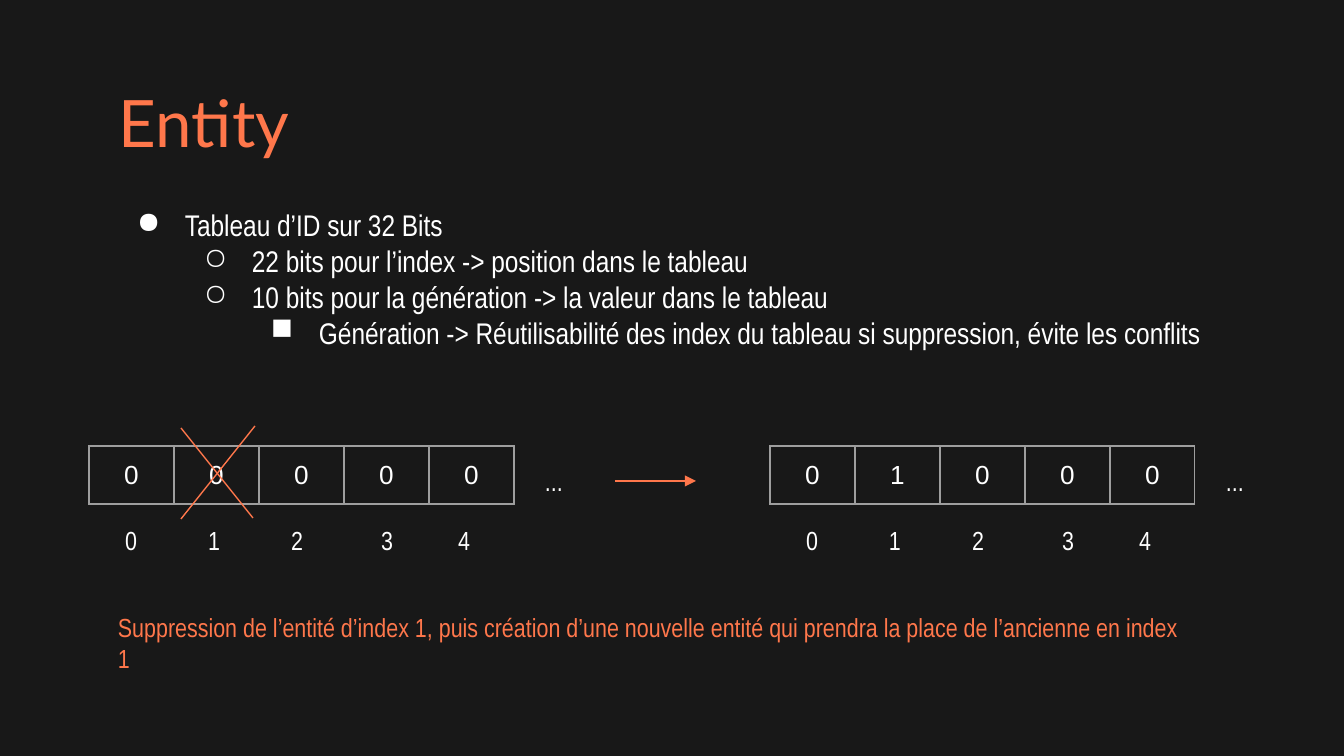
from lxml import etree
from pptx import Presentation
from pptx.dml.color import RGBColor
from pptx.enum.shapes import MSO_CONNECTOR
from pptx.enum.text import MSO_ANCHOR, PP_ALIGN
from pptx.oxml.ns import qn
from pptx.util import Emu, Pt

STRAIGHT = MSO_CONNECTOR.STRAIGHT
TOP, MIDDLE = MSO_ANCHOR.TOP, MSO_ANCHOR.MIDDLE
LEFT, CENTER = PP_ALIGN.LEFT, PP_ALIGN.CENTER

EMU_PER_PX = 914400 / 134.4
INSET = 13
COLORS = {"background": "181818", "accent": "FF774B", "text": "FFFFFF", "border": "9E9E9E"}
NARROW = "Arial Narrow"
BULLETS = "●○■"
LEVEL_INDENT, HANGING = 67, 48

ID_POINTS = [
    (0, "Tableau d’ID sur 32 Bits"),
    (1, "22 bits pour l’index -> position dans le tableau"),
    (1, "10 bits pour la génération -> la valeur dans le tableau"),
    (2, "Génération -> Réutilisabilité des index du tableau si suppression, évite les conflits"),
]
CAPTION = ("Suppression de l’entité d’index 1, puis création d’une nouvelle entité "
           "qui prendra la place de l’ancienne en index 1")

# Generation arrays: cell size, and index label offsets from the array's left edge
CELL_WIDTH, CELL_HEIGHT, ARRAY_TOP = 85, 58, 446
INDEX_OFFSETS = [23, 106, 189, 279, 356]


def px(length):
    return Emu(round(length * EMU_PER_PX))


def rgb(name):
    return RGBColor.from_string(COLORS[name])


def write(paragraph, text, size=14, font=NARROW, color="text", align=LEFT):
    paragraph.alignment = align
    run = paragraph.add_run()
    run.text = text
    run.font.size = Pt(size)
    run.font.name = font
    run.font.color.rgb = rgb(color)


def set_margins(target):
    target.margin_left = target.margin_right = px(INSET)
    target.margin_top = target.margin_bottom = px(INSET)


def add_frame(slide, left, top, width, height, anchor=TOP):
    frame = slide.shapes.add_textbox(px(left), px(top), px(width), px(height)).text_frame
    frame.word_wrap = True
    frame.vertical_anchor = anchor
    set_margins(frame)
    return frame


def add_text(slide, text, left, top, width, height, anchor=TOP, **style):
    frame = add_frame(slide, left, top, width, height, anchor)
    write(frame.paragraphs[0], text, **style)


def add_bullets(slide, points, left, top, width, height):
    frame = add_frame(slide, left, top, width, height)
    for number, (level, text) in enumerate(points):
        paragraph = frame.add_paragraph() if number else frame.paragraphs[0]
        paragraph.level = level
        properties = paragraph._p.get_or_add_pPr()
        properties.set("marL", str(px(LEVEL_INDENT * (level + 1))))
        properties.set("indent", str(-px(HANGING)))
        bullet_color = etree.SubElement(properties, qn("a:buClr"))
        etree.SubElement(bullet_color, qn("a:srgbClr"), val=COLORS["text"])
        etree.SubElement(properties, qn("a:buChar"), char=BULLETS[level])
        write(paragraph, text, size=16)


def add_line(slide, start, end, arrow=False):
    line = slide.shapes.add_connector(STRAIGHT, *map(px, start + end))
    line.line.color.rgb = rgb("accent")
    line.line.width = Pt(0.75)
    if arrow:
        etree.SubElement(line.line._get_or_add_ln(), qn("a:tailEnd"), type="triangle")
    etree.SubElement(line._element.spPr, qn("a:effectLst"))


def set_borders(cell):
    properties = cell._tc.get_or_add_tcPr()
    for position, side in enumerate(("lnL", "lnR", "lnT", "lnB")):
        border = etree.Element(qn(f"a:{side}"), w=str(Pt(0.75)))
        fill = etree.SubElement(border, qn("a:solidFill"))
        etree.SubElement(fill, qn("a:srgbClr"), val=COLORS["border"])
        properties.insert(position, border)


def add_generation_array(slide, generations, left):
    count = len(generations)
    table = slide.shapes.add_table(1, count, px(left), px(ARRAY_TOP),
                                   px(CELL_WIDTH * count), px(CELL_HEIGHT)).table
    table.first_row = table.horz_banding = False
    for column, generation in enumerate(generations):
        table.columns[column].width = px(CELL_WIDTH)
        cell = table.cell(0, column)
        cell.fill.background()
        cell.vertical_anchor = MIDDLE
        set_margins(cell)
        set_borders(cell)
        write(cell.text_frame.paragraphs[0], generation, font="Arial", align=CENTER)

    # Index labels below, continuation dots to the right
    for index, offset in enumerate(INDEX_OFFSETS):
        add_text(slide, str(index), left + offset, 511, 48, 59)
    add_text(slide, "...", left + 443, 452, 134, 59)


def main():
    presentation = Presentation()
    presentation.slide_width, presentation.slide_height = px(1344), px(756)
    slide = presentation.slides.add_slide(presentation.slide_layouts[6])
    slide.background.fill.solid()
    slide.background.fill.fore_color.rgb = rgb("background")

    # Title and ID layout
    add_text(slide, "Entity", 106, 79, 1133, 85, anchor=MIDDLE,
             size=35, font="Lato", color="accent")
    add_bullets(slide, ID_POINTS, 105, 194, 1133, 177)

    # Array before and after the replacement
    add_generation_array(slide, "00000", 89)
    add_generation_array(slide, "01000", 770)
    add_line(slide, (615, 481), (696, 481), arrow=True)
    add_text(slide, CAPTION, 105, 598, 1097, 59, color="accent")

    # Cross over the deleted entity
    add_line(slide, (181, 428), (253, 518))
    add_line(slide, (255, 426), (181, 519))

    presentation.save("out.pptx")


if __name__ == "__main__":
    main()
